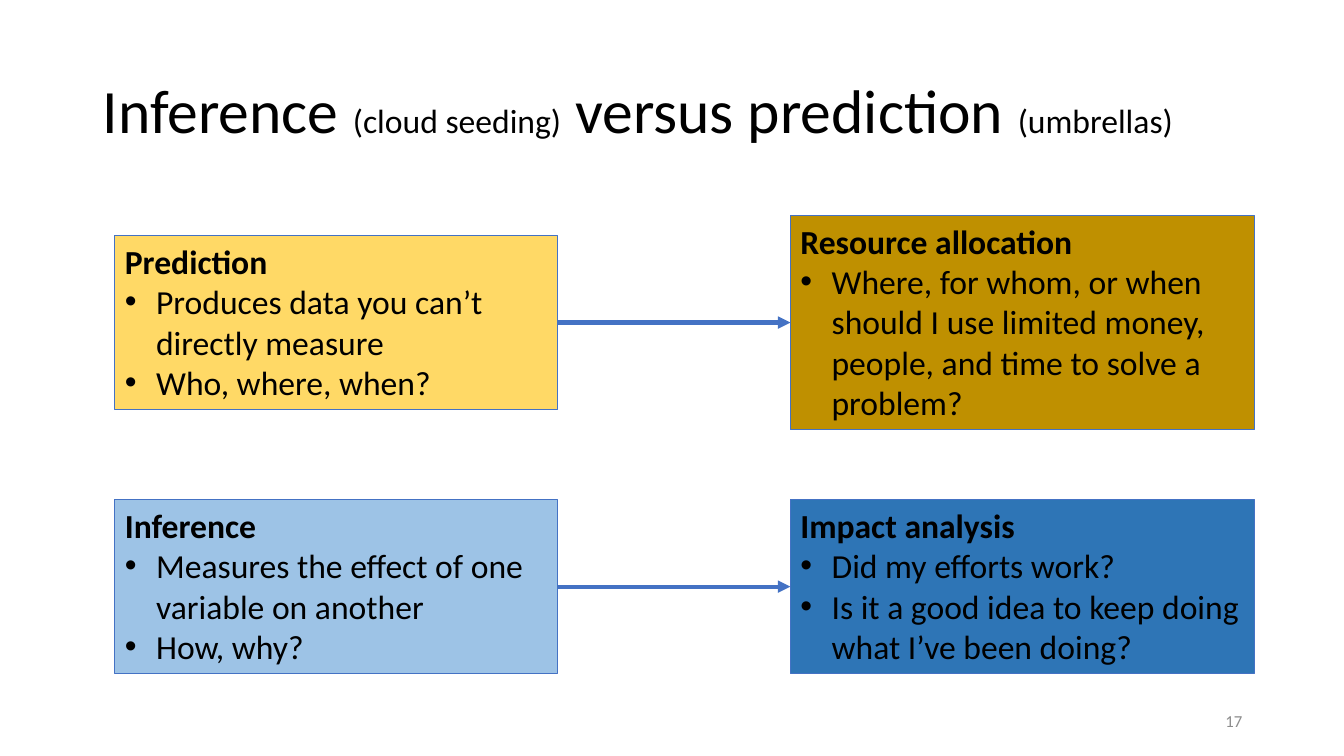
from lxml import etree
from pptx import Presentation
from pptx.dml.color import RGBColor
from pptx.enum.shapes import MSO_CONNECTOR, MSO_SHAPE
from pptx.enum.text import MSO_ANCHOR, MSO_AUTO_SIZE, PP_ALIGN
from pptx.oxml.ns import qn
from pptx.util import Inches, Pt

RECT = MSO_SHAPE.RECTANGLE
LINE = MSO_CONNECTOR.STRAIGHT
TOP, MIDDLE = MSO_ANCHOR.TOP, MSO_ANCHOR.MIDDLE
LEFT, RIGHT = PP_ALIGN.LEFT, PP_ALIGN.RIGHT
FIXED = MSO_AUTO_SIZE.NONE
TITLE_ONLY = 5
LEFT_SITE, RIGHT_SITE = 1, 3

COLORS = {
    "black": "000000", "gray": "8C8C8C", "line": "4472C4",
    "yellow": "FFD966", "gold": "BF9000", "sky": "9DC3E6", "blue": "2E75B6",
}
COLS = [(1.14, 4.39), (7.84, 4.6)]
ROWS = [3.2, 5.82]
ROW_STEP, BOX_PAD = 0.4, 0.12
INDENT = 0.31
BODY = {"name": "Calibri", "size": Pt(24), "bold": False}
HEAD = {**BODY, "bold": True}
BIG = {**BODY, "size": Pt(44)}
SMALL = {**BODY, "size": Pt(12)}

FLOWS = [
    [("yellow", 4, "Prediction",
      ["Produces data you can’t directly measure", "Who, where, when?"]),
     ("gold", 5, "Resource allocation",
      ["Where, for whom, or when should I use limited money, "
       "people, and time to solve a problem?"])],
    [("sky", 4, "Inference",
      ["Measures the effect of one variable on another", "How, why?"]),
     ("blue", 4, "Impact analysis",
      ["Did my efforts work?",
       "Is it a good idea to keep doing what I’ve been doing?"])],
]


def color(name):
    return RGBColor.from_string(COLORS[name])


def apply(target, values):
    for key, value in values.items():
        setattr(target, key, value)


def place(shape, left, top, width, height):
    apply(shape, {"left": Inches(left), "top": Inches(top),
                  "width": Inches(width), "height": Inches(height)})


def add_run(para, text, style, tint="black"):
    run = para.add_run()
    run.text = text
    apply(run.font, style)
    run.font.color.rgb = color(tint)


def add_dot(para):
    props = para._p.get_or_add_pPr()
    props.set("marL", str(Inches(INDENT)))
    props.set("indent", str(-Inches(INDENT)))
    etree.SubElement(props, qn("a:buFont")).set("typeface", "Arial")
    etree.SubElement(props, qn("a:buChar")).set("char", "•")


def add_title(slide):
    title = slide.shapes.title
    place(title, 0.92, 0.4, 11.5, 1.45)
    frame = title.text_frame
    apply(frame, {"vertical_anchor": MIDDLE, "word_wrap": True,
                  "auto_size": FIXED})
    para = frame.paragraphs[0]
    apply(para, {"alignment": LEFT, "line_spacing": 0.9})
    for text, style in [("Inference ", BIG), ("(cloud seeding)", BODY),
                        (" versus prediction ", BIG), ("(umbrellas)", BODY)]:
        add_run(para, text, style)


def add_box(slide, col, mid, fill, lines, head, points):
    left, width = col
    height = ROW_STEP * lines + BOX_PAD
    box = slide.shapes.add_shape(RECT, 0, 0, 0, 0)
    place(box, left, mid - height / 2, width, height)
    box.shadow.inherit = False
    box.fill.solid()
    box.fill.fore_color.rgb = color(fill)
    box.line.color.rgb = color("line")
    box.line.width = Pt(0.75)
    frame = box.text_frame
    apply(frame, {"vertical_anchor": TOP, "word_wrap": True,
                  "auto_size": FIXED})
    para = frame.paragraphs[0]
    para.alignment = LEFT
    add_run(para, head, HEAD)
    for point in points:
        para = frame.add_paragraph()
        para.alignment = LEFT
        add_dot(para)
        add_run(para, point, BODY)
    return box


def add_arrow(slide, start, end):
    arrow = slide.shapes.add_connector(LINE, 0, 0, 0, 0)
    arrow.begin_connect(start, RIGHT_SITE)
    arrow.end_connect(end, LEFT_SITE)
    arrow.line.color.rgb = color("line")
    arrow.line.width = Pt(3)
    tip = etree.SubElement(arrow.line._get_or_add_ln(), qn("a:tailEnd"))
    tip.set("type", "triangle")
    etree.SubElement(arrow._element.spPr, qn("a:effectLst"))


def add_number(slide, text):
    box = slide.shapes.add_textbox(0, 0, 0, 0)
    place(box, 9.42, 6.95, 3, 0.4)
    frame = box.text_frame
    apply(frame, {"vertical_anchor": MIDDLE, "word_wrap": True})
    para = frame.paragraphs[0]
    para.alignment = RIGHT
    add_run(para, text, SMALL, "gray")


def main():
    deck = Presentation()
    apply(deck, {"slide_width": Inches(13.33), "slide_height": Inches(7.5)})
    slide = deck.slides.add_slide(deck.slide_layouts[TITLE_ONLY])
    add_title(slide)
    add_number(slide, "17")
    for mid, flow in zip(ROWS, FLOWS):
        start, end = [add_box(slide, col, mid, *item)
                      for col, item in zip(COLS, flow)]
        add_arrow(slide, start, end)
    deck.save("out.pptx")


if __name__ == "__main__":
    main()
